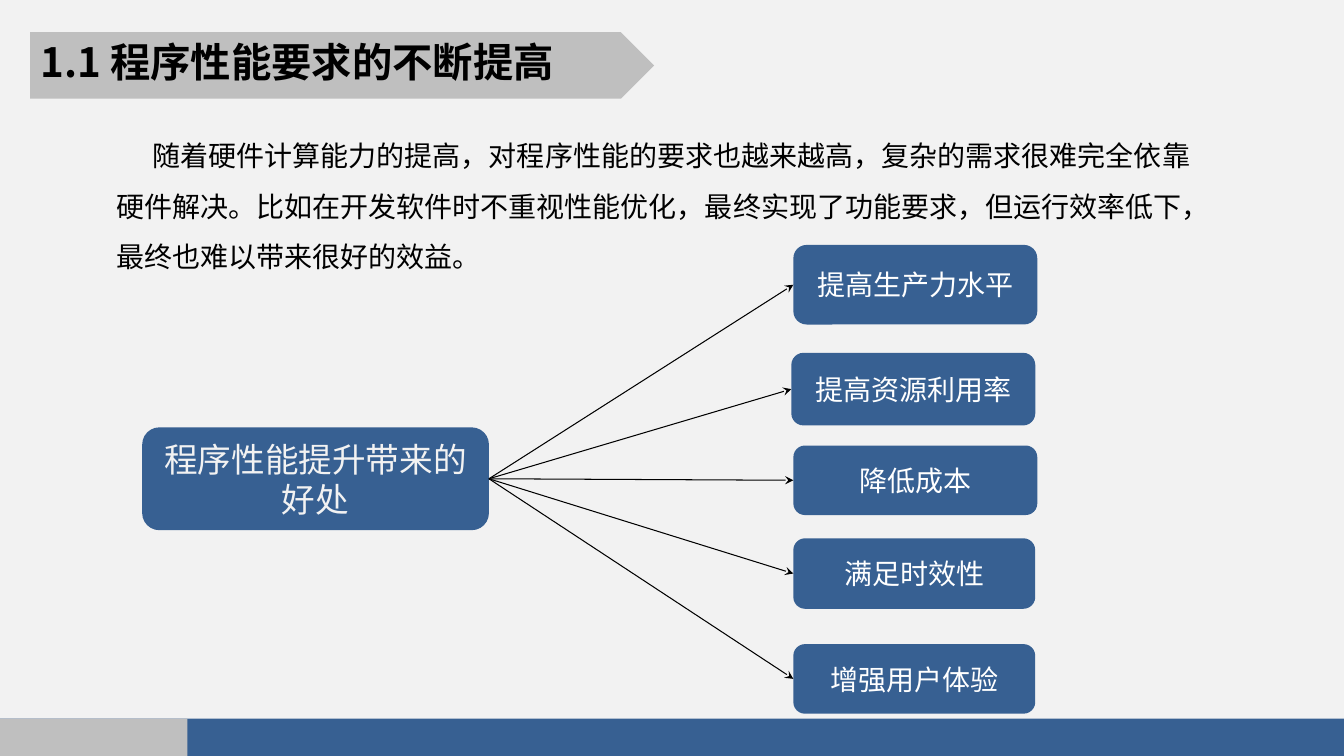
from lxml.etree import SubElement
from pptx import Presentation
from pptx.dml.color import RGBColor
from pptx.enum.shapes import MSO_CONNECTOR, MSO_SHAPE
from pptx.enum.text import MSO_ANCHOR, MSO_AUTO_SIZE, PP_ALIGN
from pptx.oxml.ns import qn
from pptx.util import Inches, Pt

WIDTH, HEIGHT = Inches(13.333), Inches(7.5)
BLUE = RGBColor(0x37, 0x60, 0x92)
GRAY = RGBColor(0xBF, 0xBF, 0xBF)
PALE = RGBColor(0xF2, 0xF2, 0xF2)
WHITE = RGBColor(0xFF, 0xFF, 0xFF)
BLACK = RGBColor(0x00, 0x00, 0x00)
SANS, SERIF = "Noto Sans CJK SC", "Times New Roman"
LEFT_SITE, RIGHT_SITE = 1, 3

TITLE = "1.1 程序性能要求的不断提高"
INTRO = (
    "随着硬件计算能力的提高，对程序性能的要求也越来越高，复杂的需求很难完全依靠"
    "硬件解决。比如在开发软件时不重视性能优化，最终实现了功能要求，但运行效率低下，"
    "最终也难以带来很好的效益。"
)
HUB = "程序性能提升带来的好处"
BENEFITS = [
    ("提高生产力水平", (59.03, 32.4, 18.15, 10.53)),
    ("提高资源利用率", (58.88, 46.67, 18.15, 9.6)),
    ("降低成本", (59.03, 58.93, 18.15, 9.2)),
    ("满足时效性", (59.03, 71.2, 18, 9.33)),
    ("增强用户体验", (59.03, 85.2, 18, 9.2)),
]


def assign(target, values):
    """Set every attribute named in values on target."""
    for name, value in values.items():
        setattr(target, name, value)


def area(left, top, width, height):
    """Turn percentages of the slide into lengths."""
    shares = ((left, WIDTH), (top, HEIGHT), (width, WIDTH), (height, HEIGHT))
    return [int(share * side / 100) for share, side in shares]


def write(shape, text, color, size, font=SANS, bold=False, align=PP_ALIGN.CENTER,
          anchor=MSO_ANCHOR.MIDDLE, spacing=1.0):
    """Put one formatted paragraph into a shape and return it."""
    frame = shape.text_frame
    assign(frame, {"word_wrap": True, "auto_size": MSO_AUTO_SIZE.NONE,
                   "vertical_anchor": anchor})
    para = frame.paragraphs[0]
    assign(para, {"alignment": align, "line_spacing": spacing,
                  "space_before": Pt(0), "space_after": Pt(0)})
    span = para.add_run()
    span.text = text
    assign(span.font, {"name": font, "size": Pt(size), "bold": bold})
    span.font.color.rgb = color
    SubElement(span.font._element, qn("a:ea"), typeface=SANS)
    return para


def add_block(page, kind, place, color):
    """Add a plain filled preset shape."""
    block = page.shapes.add_shape(kind, *area(*place))
    block.shadow.inherit = False
    block.fill.solid()
    block.fill.fore_color.rgb = color
    block.line.fill.background()
    return block


def add_label(page, place, text, color, size, spacing=1.0):
    """Add a blue rounded box with centred text."""
    box = add_block(page, MSO_SHAPE.ROUNDED_RECTANGLE, place, BLUE)
    write(box, text, color, size, spacing=spacing)
    return box


def add_arrow(page, source, target):
    """Join the right side of source to the left side of target."""
    arrow = page.shapes.add_connector(MSO_CONNECTOR.STRAIGHT, 0, 0, 0, 0)
    arrow.begin_connect(source, RIGHT_SITE)
    arrow.end_connect(target, LEFT_SITE)
    arrow.line.width = Pt(0.75)
    arrow.line.color.rgb = BLACK
    SubElement(arrow.line._get_or_add_ln(), qn("a:tailEnd"), type="stealth")
    SubElement(arrow._element.spPr, qn("a:effectLst"))


def place_holder(holder, place):
    """Move a placeholder to a share of the slide."""
    assign(holder, dict(zip(("left", "top", "width", "height"), area(*place))))


def add_heading(page):
    """Set the title on its gray pointed band."""
    title = page.shapes.title
    band = add_block(page, MSO_SHAPE.PENTAGON, (2.25, 4.27, 46.43, 8.8), GRAY)
    title._element.addprevious(band._element)
    place_holder(title, (2.25, 4.27, 42.9, 7.73))
    write(title, TITLE, BLACK, 28.8, bold=True, align=PP_ALIGN.LEFT)


def add_intro(page):
    """Set the introduction as an indented paragraph without a bullet."""
    body = page.placeholders[1]
    place_holder(body, (7.88, 15.47, 82.73, 21.47))
    para = write(body, INTRO, BLACK, 20, SERIF, align=PP_ALIGN.LEFT,
                 anchor=MSO_ANCHOR.TOP, spacing=Pt(36))
    properties = para._p.get_or_add_pPr()
    properties.set("marL", "0")
    properties.set("indent", str(Pt(26)))
    SubElement(properties, qn("a:buNone"))


def add_benefits(page):
    """Fan arrows out from the hub to each benefit."""
    hub = add_label(page, (10.58, 56.53, 25.8, 13.6), HUB, PALE, 24, Pt(28.8))
    for text, place in BENEFITS:
        add_arrow(page, hub, add_label(page, place, text, WHITE, 20))


def main():
    """Build and save the deck."""
    deck = Presentation()
    assign(deck, {"slide_width": WIDTH, "slide_height": HEIGHT})
    page = deck.slides.add_slide(deck.slide_layouts[1])
    page.background.fill.solid()
    page.background.fill.fore_color.rgb = PALE
    add_heading(page)
    add_intro(page)
    for width, color in ((100, BLUE), (13.95, GRAY)):
        add_block(page, MSO_SHAPE.RECTANGLE, (0, 95.07, width, 4.93), color)
    add_benefits(page)
    deck.save("out.pptx")


if __name__ == "__main__":
    main()
